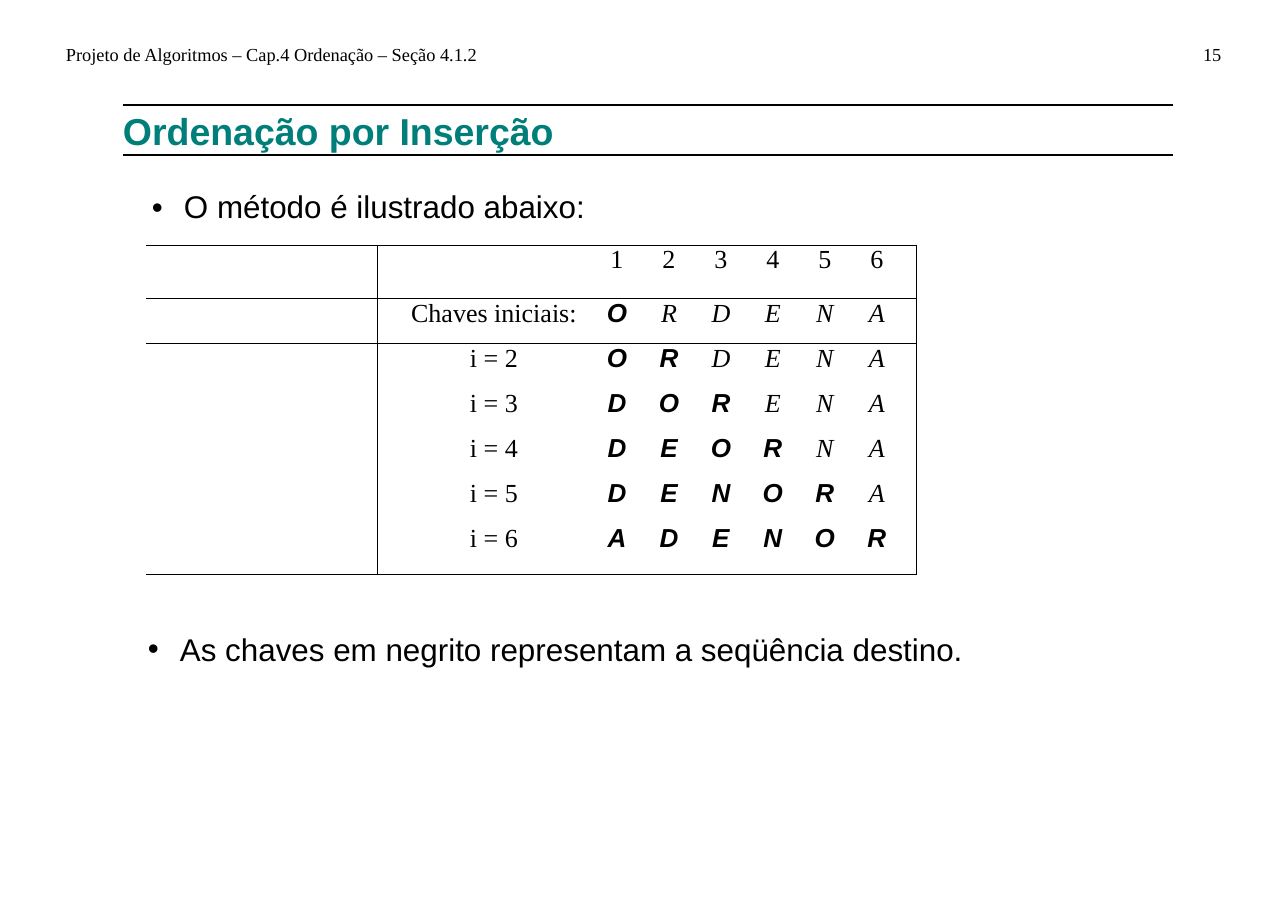
"""Builds the slide on insertion sort with its table of key sequences."""
from lxml.etree import SubElement
from pptx import Presentation
from pptx.dml.color import RGBColor
from pptx.enum.shapes import MSO_CONNECTOR
from pptx.enum.text import MSO_ANCHOR, MSO_AUTO_SIZE, PP_ALIGN
from pptx.oxml import parse_xml
from pptx.oxml.ns import nsdecls, qn
from pptx.util import Emu, Pt

BLACK = RGBColor(0x00, 0x00, 0x00)
TEAL = RGBColor(0x00, 0x7F, 0x7A)
SANS, SERIF = "Arial", "Times New Roman"
BODY_SIZE, KEY_SIZE, THIN, THICK = 20.5, 17, 0.69, 1.73
NO_GRID = "{2D5ABB26-0587-4C30-8999-92F81FD0307C}"
SEQUENCES = ["ORDENA", "ORDENA", "DORENA", "DEORNA", "DENORA", "ADENOR"]


def px(count):
    return Emu(count * 8298)


class SlideBuilder:
    """Holds the slide and draws each kind of element on it."""

    def __init__(self, presentation):
        self.slide = presentation.slides.add_slide(presentation.slide_layouts[5])

    def set_text(self, frame, text, size, face=SERIF, color=BLACK, bold=False,
                 italic=False, align=PP_ALIGN.LEFT, bullet_at=None):
        paragraph = frame.paragraphs[0]
        paragraph.text = text
        paragraph.alignment = align
        if bullet_at is not None:
            properties = paragraph._p.get_or_add_pPr()
            properties.set("marL", str(px(bullet_at + 32)))
            properties.set("indent", str(px(-32)))
            SubElement(properties, qn("a:buFont"), typeface=SANS)
            SubElement(properties, qn("a:buChar"), char="•")
        font = paragraph.font
        font.name, font.size, font.bold, font.italic = face, Pt(size), bold, italic
        font.color.rgb = color

    def clear_margins(self, holder):
        holder.margin_left = holder.margin_right = 0
        holder.margin_top = holder.margin_bottom = 0
        holder.vertical_anchor = MSO_ANCHOR.TOP

    def fill_shape(self, shape, text, size, **style):
        frame = shape.text_frame
        frame.word_wrap = True
        frame.auto_size = MSO_AUTO_SIZE.NONE
        self.clear_margins(frame)
        self.set_text(frame, text, size, **style)

    def title(self, text, left, top, width, height):
        heading = self.slide.shapes.title
        heading.left, heading.top = px(left), px(top)
        heading.width, heading.height = px(width), px(height)
        self.fill_shape(heading, text, 24.5, face=SANS, color=TEAL, bold=True)

    def text(self, text, left, top, width, height, size, **style):
        box = self.slide.shapes.add_textbox(px(left), px(top), px(width), px(height))
        self.fill_shape(box, text, size, **style)

    def line(self, x1, y1, x2, y2, weight):
        rule = self.slide.shapes.add_connector(
            MSO_CONNECTOR.STRAIGHT, px(x1), px(y1), px(x2), px(y2))
        rule.line.color.rgb = BLACK
        rule.line.width = Pt(weight)
        SubElement(rule._element.spPr, qn("a:effectLst"))

    def table(self, left, top, widths, heights):
        frame = self.slide.shapes.add_table(
            len(heights), len(widths), px(left), px(top), px(sum(widths)), px(sum(heights)))
        table = frame.table
        table.first_row = table.horz_banding = False
        table._tbl.tblPr.find(qn("a:tableStyleId")).text = NO_GRID
        for column, width in zip(table.columns, widths):
            column.width = px(width)
        for row, height in zip(table.rows, heights):
            row.height = px(height)
        for cell in table.iter_cells():
            self.clear_margins(cell)
            cell.fill.background()
        return table

    def borders(self, cell, sides):
        properties = cell._tc.get_or_add_tcPr()
        for position, side in enumerate(sides):
            properties.insert(position, parse_xml(
                f'<a:ln{side} {nsdecls("a")} w="{Pt(THIN)}"><a:solidFill>'
                f'<a:srgbClr val="{BLACK}"/></a:solidFill></a:ln{side}>'))


def fill_table(builder):
    table = builder.table(146, 190, [445] + [52] * 5 + [66], [55, 54] + [45] * 5 + [51])
    last_column, last_row = len(table.columns) - 1, len(table.rows) - 1
    for row in range(last_row + 1):
        for column in range(last_column + 1):
            sides = "R" if row > 0 and column == last_column else ""
            sides += "T" if row in (1, 2) else ""
            sides += "B" if row in (0, 1, last_row) else ""
            builder.borders(table.cell(row, column), sides)
        table.cell(row, last_column).margin_right = px(14)
    table.cell(0, 1).merge(table.cell(0, last_column))
    builder.set_text(table.cell(0, 0).text_frame, "O método é ilustrado abaixo:",
                     BODY_SIZE, face=SANS, bullet_at=6)
    for position in range(1, last_column + 1):
        builder.set_text(table.cell(1, position).text_frame, str(position), KEY_SIZE,
                         align=PP_ALIGN.CENTER)
    for step, keys in enumerate(SEQUENCES, start=1):
        row = step + 1
        step_cell = table.cell(row, 0)
        step_cell.margin_left = px(251)
        label = "Chaves iniciais:" if step == 1 else f"i = {step}"
        builder.set_text(step_cell.text_frame, label, KEY_SIZE, align=PP_ALIGN.CENTER)
        for position, key in enumerate(keys, start=1):
            is_sorted = position <= step
            builder.set_text(table.cell(row, position).text_frame, key, KEY_SIZE,
                             face=SANS if is_sorted else SERIF, bold=is_sorted,
                             italic=True, align=PP_ALIGN.CENTER)


def main():
    presentation = Presentation()
    presentation.slide_width, presentation.slide_height = px(1288), px(910)
    builder = SlideBuilder(presentation)
    builder.text("Projeto de Algoritmos – Cap.4 Ordenação – Seção 4.1.2", 66, 43, 430, 23, 12)
    builder.text("15", 1203, 43, 24, 23, 12)
    for y in (105, 155):
        builder.line(123, y, 1173, y, THICK)
    builder.title("Ordenação por Inserção", 123, 108, 460, 46)
    fill_table(builder)
    builder.line(378, 245, 378, 575, THIN)
    builder.text("As chaves em negrito representam a seqüência destino.",
                 148, 630, 840, 41, BODY_SIZE, face=SANS, bullet_at=0)
    presentation.save("out.pptx")


if __name__ == "__main__":
    main()
